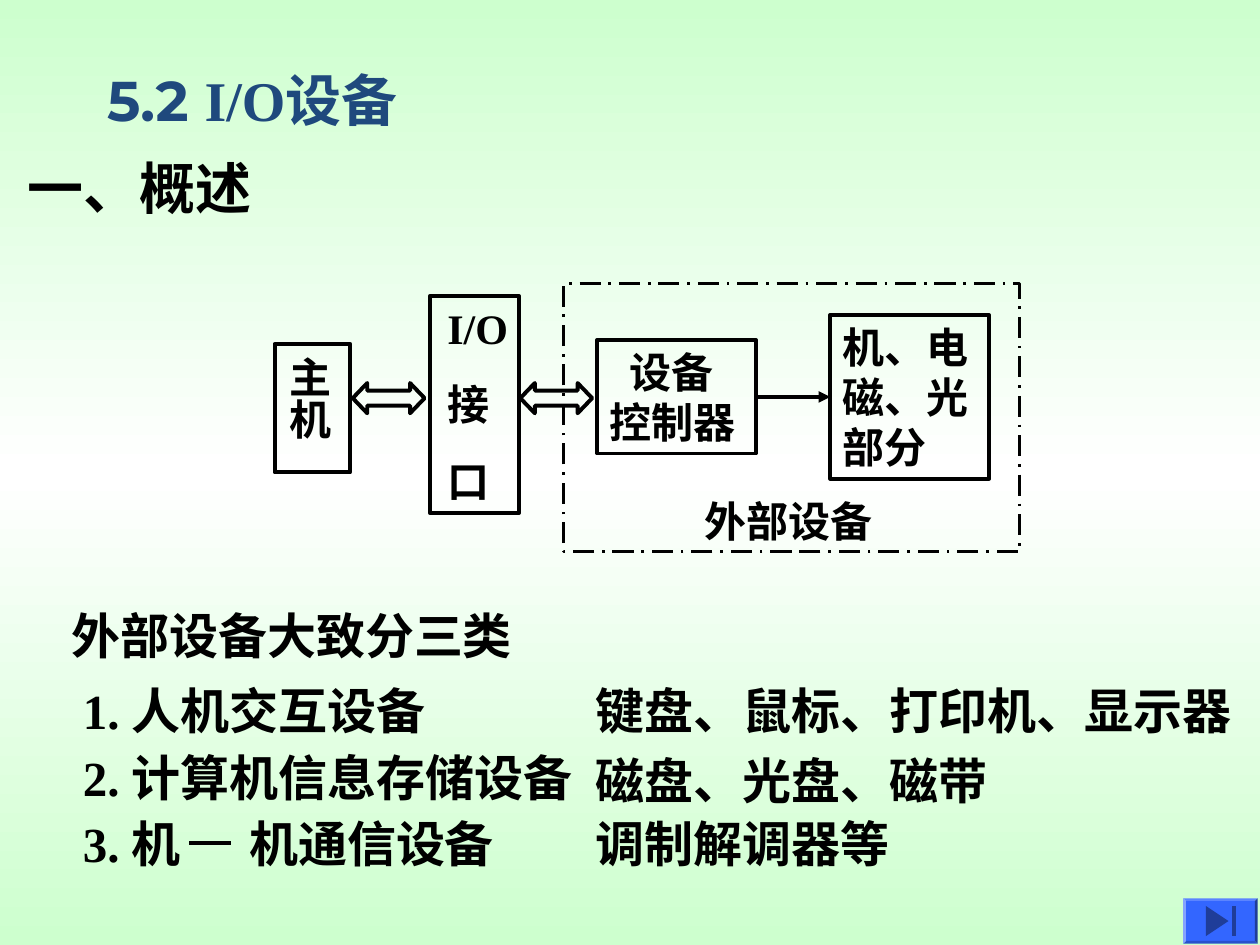
from copy import deepcopy
from dataclasses import dataclass

from lxml import etree
from pptx import Presentation
from pptx import util as u
from pptx.dml.color import RGBColor
from pptx.enum import dml, lang, shapes, text
from pptx.oxml import ns


@dataclass(frozen=True)
class Theme:
    ink: RGBColor = RGBColor(0, 0, 0)
    heading: RGBColor = RGBColor.from_string("1F497D")
    button: RGBColor = RGBColor.from_string("3366FF")
    button_icon: RGBColor = RGBColor.from_string("1F3D99")
    edge: RGBColor = RGBColor.from_string("CDFFCE")
    middle: RGBColor = RGBColor(255, 255, 255)
    serif: str = "Times New Roman"
    sans: str = "Montserrat"
    title_size: int = 32
    list_size: int = 28
    label_size: int = 24
    stroke: float = 2.25
    frame_stroke: float = 1.5


class SlideBuilder:
    COLUMNS = 100
    ROWS = 75

    def __init__(self, presentation, theme):
        self.theme = theme
        self.width = presentation.slide_width
        self.height = presentation.slide_height
        self.slide = presentation.slides.add_slide(presentation.slide_layouts[5])

    def x(self, columns):
        return round(self.width * columns / self.COLUMNS)

    def y(self, rows):
        return round(self.height * rows / self.ROWS)

    def place(self, left, top, width, height):
        return self.x(left), self.y(top), self.x(width), self.y(height)

    def background(self):
        fill = self.slide.background.fill
        fill.gradient()
        fill.gradient_angle = 270
        stop_list = self.slide.element.find(".//" + ns.qn("a:gsLst"))
        stop_list.append(deepcopy(stop_list[-1]))
        colors = (self.theme.edge, self.theme.middle, self.theme.edge)
        for stop, position, color in zip(fill.gradient_stops, (0, 0.5, 1), colors):
            stop.position = position
            stop.color.rgb = color

    def run(self, paragraph, words, size, font=None, color=None):
        run = paragraph.add_run()
        run.text = words
        run.font.size = u.Pt(size)
        run.font.name = font or self.theme.serif
        run.font.bold = True
        run.font.color.rgb = color or self.theme.ink
        run.font.language_id = lang.MSO_LANGUAGE_ID.SIMPLIFIED_CHINESE

    def title(self, area, parts):
        shape = self.slide.shapes.title
        shape.left, shape.top, shape.width, shape.height = self.place(*area)
        shape.text_frame.vertical_anchor = text.MSO_ANCHOR.BOTTOM
        paragraph = shape.text_frame.paragraphs[0]
        paragraph.alignment = text.PP_ALIGN.LEFT
        for words, font in parts:
            self.run(paragraph, words, self.theme.title_size, font, self.theme.heading)

    def label(self, shape, lines, size, gap=0, insets=(1, 0.5, 1, 0.5)):
        frame = shape.text_frame
        frame.word_wrap = True
        frame.vertical_anchor = text.MSO_ANCHOR.TOP
        frame.margin_left, frame.margin_top, frame.margin_right, frame.margin_bottom = self.place(*insets)
        for index, line in enumerate(lines):
            paragraph = frame.add_paragraph() if index else frame.paragraphs[0]
            paragraph.alignment = text.PP_ALIGN.LEFT
            if index:
                paragraph.space_before = u.Pt(gap)
            self.run(paragraph, line, size)
        return shape

    def textbox(self, area, line, size):
        return self.label(self.slide.shapes.add_textbox(*self.place(*area)), [line], size)

    def outline(self, kind, area, stroke=None):
        shape = self.slide.shapes.add_shape(kind, *self.place(*area))
        shape.shadow.inherit = False
        shape.fill.background()
        shape.line.color.rgb = self.theme.ink
        shape.line.width = u.Pt(stroke or self.theme.stroke)
        return shape

    def box(self, area, lines, **layout):
        shape = self.outline(shapes.MSO_SHAPE.RECTANGLE, area)
        return self.label(shape, lines, self.theme.label_size, **layout)

    def double_arrow(self, area):
        shape = self.outline(shapes.MSO_SHAPE.LEFT_RIGHT_ARROW, area)
        shape.adjustments[0] = 0.5
        shape.adjustments[1] = 0.48

    def line(self, start, end):
        connector = self.slide.shapes.add_connector(
            shapes.MSO_CONNECTOR.STRAIGHT,
            self.x(start[0]), self.y(start[1]), self.x(end[0]), self.y(end[1]))
        connector.line.color.rgb = self.theme.ink
        connector.line.width = u.Pt(self.theme.stroke)
        etree.SubElement(connector.element.spPr, ns.qn("a:effectLst"))
        return connector

    def arrow(self, source, target):
        connector = self.line((0, 0), (1, 1))
        connector.begin_connect(source, 3)
        connector.end_connect(target, 1)
        outline = connector.element.spPr.find(ns.qn("a:ln"))
        etree.SubElement(outline, ns.qn("a:tailEnd"), type="triangle")

    def tab_stop(self, shape, columns):
        properties = shape.text_frame.paragraphs[0]._p.get_or_add_pPr()
        stops = etree.SubElement(properties, ns.qn("a:tabLst"))
        etree.SubElement(stops, ns.qn("a:tab"), pos=str(self.x(columns)), algn="l")

    def filled(self, shape, color):
        shape.shadow.inherit = False
        shape.fill.solid()
        shape.fill.fore_color.rgb = color
        shape.line.fill.background()

    def polygon(self, points, color):
        corners = [(self.x(column), self.y(row)) for column, row in points]
        builder = self.slide.shapes.build_freeform(*corners[0])
        builder.add_line_segments(corners[1:])
        self.filled(builder.convert_to_shape(), color)

    def end_button(self, area):
        left, top, _, _ = area
        button = self.slide.shapes.add_shape(shapes.MSO_SHAPE.BEVEL, *self.place(*area))
        button.adjustments[0] = 0.06
        self.filled(button, self.theme.button)
        upper, lower = top + 0.6, top + 3
        icon = self.theme.button_icon
        self.polygon([(left + 1.8, upper), (left + 3.6, top + 1.8), (left + 1.8, lower)], icon)
        self.polygon([(left + 3.9, upper), (left + 4.2, upper),
                      (left + 4.2, lower), (left + 3.9, lower)], icon)


def main():
    presentation = Presentation()
    presentation.slide_width = u.Inches(10)
    presentation.slide_height = u.Inches(7.5)
    theme = Theme()
    page = SlideBuilder(presentation, theme)

    page.background()
    page.title((7.5, 3.1, 85, 7.9),
               [("5.2 ", theme.sans), ("I/O", theme.serif), ("设备", theme.sans)])
    page.textbox((1.2, 11.7, 25.8, 6.4), "一、概述", theme.title_size)

    host = page.box((21.8, 27.3, 6, 10.2), ["主机"], insets=(0.5, 1, 1.3, 1))
    host.text_frame._txBody.bodyPr.set("vert", "eaVert")
    controller = page.box((47.4, 27, 12.6, 9), ["设备", "控制器"])
    properties = controller.text_frame.paragraphs[0]._p.get_or_add_pPr()
    properties.set("marL", str(page.x(1.6)))
    parts = page.box((65.9, 25, 12.6, 13), ["机、电", "磁、光", "部分"])
    page.box((34.1, 23.5, 7.1, 17.2), ["I/O", "接", "口"], gap=15,
             insets=(1.4, 0.5, 0.6, 0.5))
    frame = page.outline(shapes.MSO_SHAPE.RECTANGLE, (44.7, 22.5, 36.2, 21.3), theme.frame_stroke)
    frame.line.dash_style = dml.MSO_LINE.LONG_DASH_DOT
    page.textbox((54.9, 38.8, 22.8, 5), "外部设备", theme.label_size)
    page.arrow(controller, parts)
    for left in (28, 41.3):
        page.double_arrow((left, 30.4, 5.7, 2.4))

    page.textbox((4.7, 47.6, 48.3, 5.7), "外部设备大致分三类", theme.list_size)
    devices = [
        ("1. 人机交互设备", "键盘、鼠标、打印机、显示器", 53.5),
        ("2. 计算机信息存储设备", "磁盘、光盘、磁带", 59.1),
        ("3. 机\t机通信设备", "调制解调器等", 64.1),
    ]
    for index, (category, examples, examples_top) in enumerate(devices):
        entry = page.textbox((5.6, 53.5 + 5.3 * index, 45.8, 5.7), category, theme.list_size)
        if "\t" in category:
            page.tab_stop(entry, 13.2)
        page.textbox((46.3, examples_top, 55, 5.7), examples, theme.list_size)
    page.line((15, 66.9), (18.3, 66.9))
    page.end_button((93.9, 71.3, 5.9, 3.6))

    presentation.save("out.pptx")


if __name__ == "__main__":
    main()
